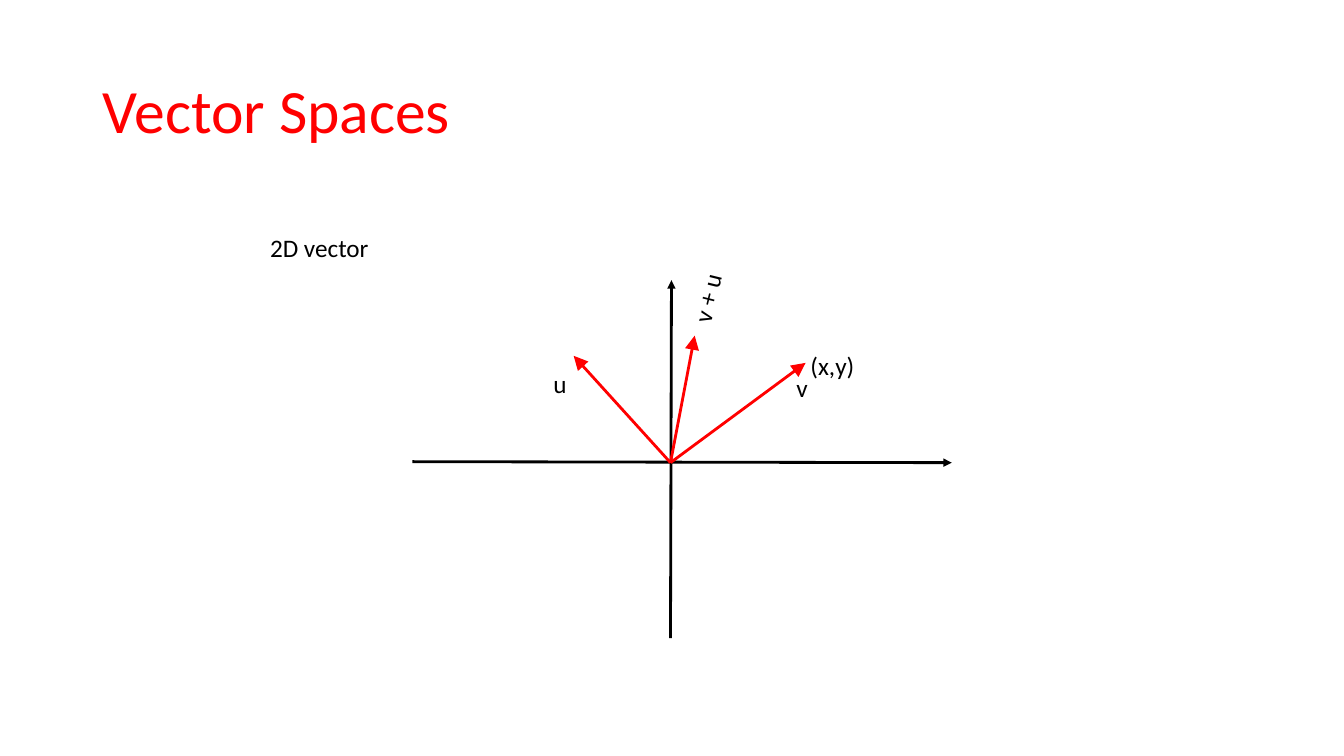
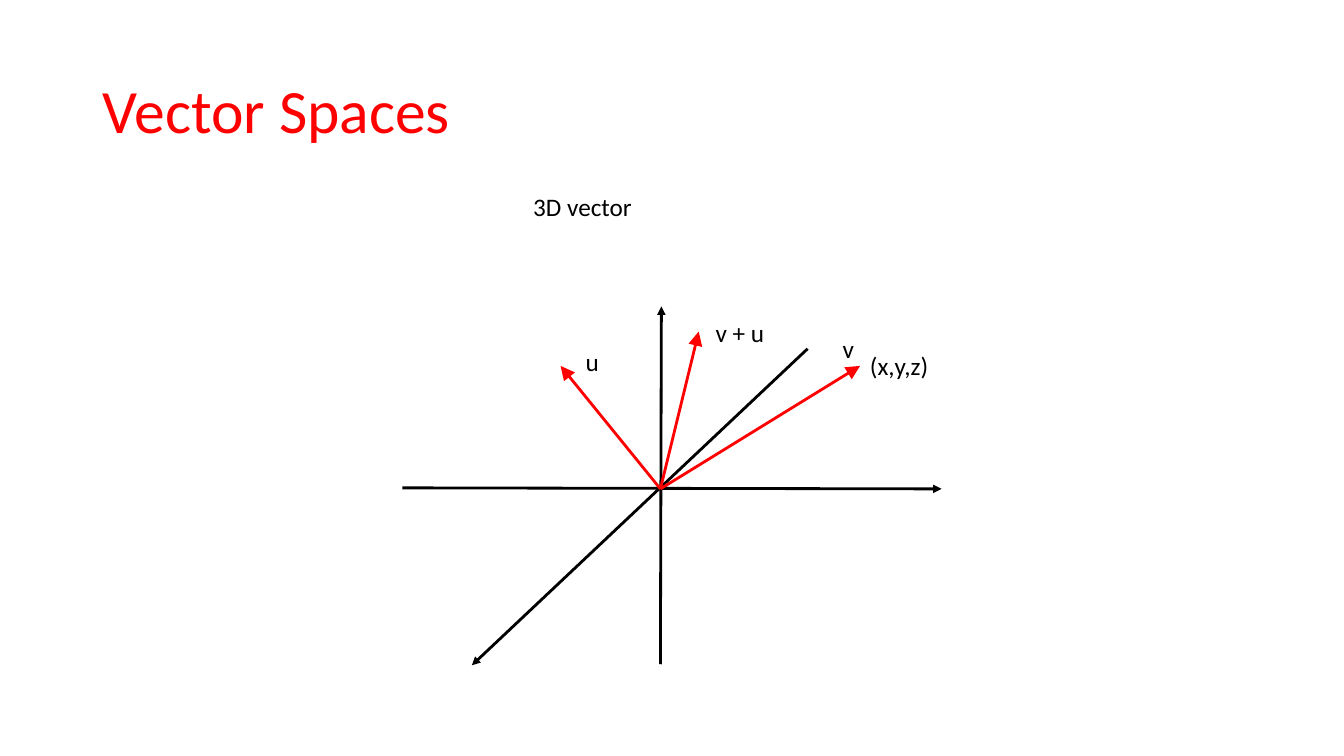
from lxml import etree
from pptx import Presentation
from pptx.dml.color import RGBColor
from pptx.enum.shapes import MSO_CONNECTOR
from pptx.enum.text import MSO_ANCHOR, MSO_AUTO_SIZE
from pptx.oxml.ns import qn
from pptx.util import Emu, Pt

STRAIGHT = MSO_CONNECTOR.STRAIGHT
MIDDLE, TOP = MSO_ANCHOR.MIDDLE, MSO_ANCHOR.TOP
GROW, FIXED = MSO_AUTO_SIZE.SHAPE_TO_FIT_TEXT, MSO_AUTO_SIZE.NONE

RED = RGBColor(0xFF, 0x00, 0x00)
BLACK = RGBColor(0x00, 0x00, 0x00)

EMU_PER_PX = 9144  # 100 px to the inch
LABEL_HEIGHT = 40


def px(length):
    return Emu(length * EMU_PER_PX)


class VectorDeck:
    """Holds the shared style and the current slide."""

    title_font = {"name": "Calibri", "size": Pt(44)}
    label_font = {"name": "Calibri", "size": Pt(18)}
    line_width = Pt(2)

    def __init__(self, width, height):
        self.prs = Presentation()
        self.prs.slide_width, self.prs.slide_height = px(width), px(height)
        self.slide = None

    def new_slide(self, title):
        self.slide = self.prs.slides.add_slide(self.prs.slide_layouts[6])
        box = self.text(title, 92, 40, 1150, 145, self.title_font, RED, MIDDLE, FIXED)
        box.text_frame.paragraphs[0].line_spacing = 0.9

    def text(self, words, left, top, width, height, font, color, anchor, fit):
        box = self.slide.shapes.add_textbox(*map(px, (left, top, width, height)))
        frame = box.text_frame
        layout = {"word_wrap": True, "auto_size": fit, "vertical_anchor": anchor}
        for name, value in layout.items():
            setattr(frame, name, value)
        run = frame.paragraphs[0].add_run()
        run.text = words
        for name, value in font.items():
            setattr(run.font, name, value)
        run.font.color.rgb = color
        return box

    def label(self, words, left, top, width, rotation=0):
        box = self.text(words, left, top, width, LABEL_HEIGHT,
                        self.label_font, BLACK, TOP, GROW)
        box.rotation = rotation

    def arrow(self, start, tip, color, head):
        line = self.slide.shapes.add_connector(STRAIGHT, *map(px, (*start, *tip)))
        line.line.color.rgb = color
        line.line.width = self.line_width
        etree.SubElement(line.line._get_or_add_ln(), qn("a:tailEnd"),
                         type="triangle", w=head, len=head)
        etree.SubElement(line._element.spPr, qn("a:effectLst"))

    def axis(self, start, tip):
        self.arrow(start, tip, BLACK, "med")

    def plane_axes(self, origin):
        x, y = origin
        self.axis((x - 256, y - 1), (x + 279, y))
        self.axis((x, y + 174), (x + 1, y - 181))

    def vectors(self, origin, tips):
        for tip in tips:
            self.arrow(origin, tip, RED, "lg")


def main():
    deck = VectorDeck(1333, 750)

    # Vectors in the plane
    deck.new_slide("Vector Spaces")
    origin = (665, 459)
    deck.plane_axes(origin)
    deck.vectors(origin, [(799, 360), (569, 353), (689, 333)])
    deck.label("v", 780, 364, 33)
    deck.label("u", 539, 361, 33)
    deck.label("v + u", 658, 264, 92, rotation=283.8)
    deck.label("2D vector", 258, 226, 174)
    deck.label("(x,y)", 794, 343, 100)

    # Vectors in space
    deck.new_slide("Vector Spaces")
    origin = (655, 485)
    deck.plane_axes(origin)
    deck.axis((801, 346), (468, 660))
    deck.vectors(origin, [(853, 363), (556, 363), (693, 329)])
    deck.label("3D vector", 519, 185, 174)
    deck.label("v", 826, 326, 33)
    deck.label("u", 571, 339, 33)
    deck.label("v + u", 700, 310, 88)
    deck.label("(x,y,z)", 853, 343, 100)

    deck.prs.save("out.pptx")


if __name__ == "__main__":
    main()
